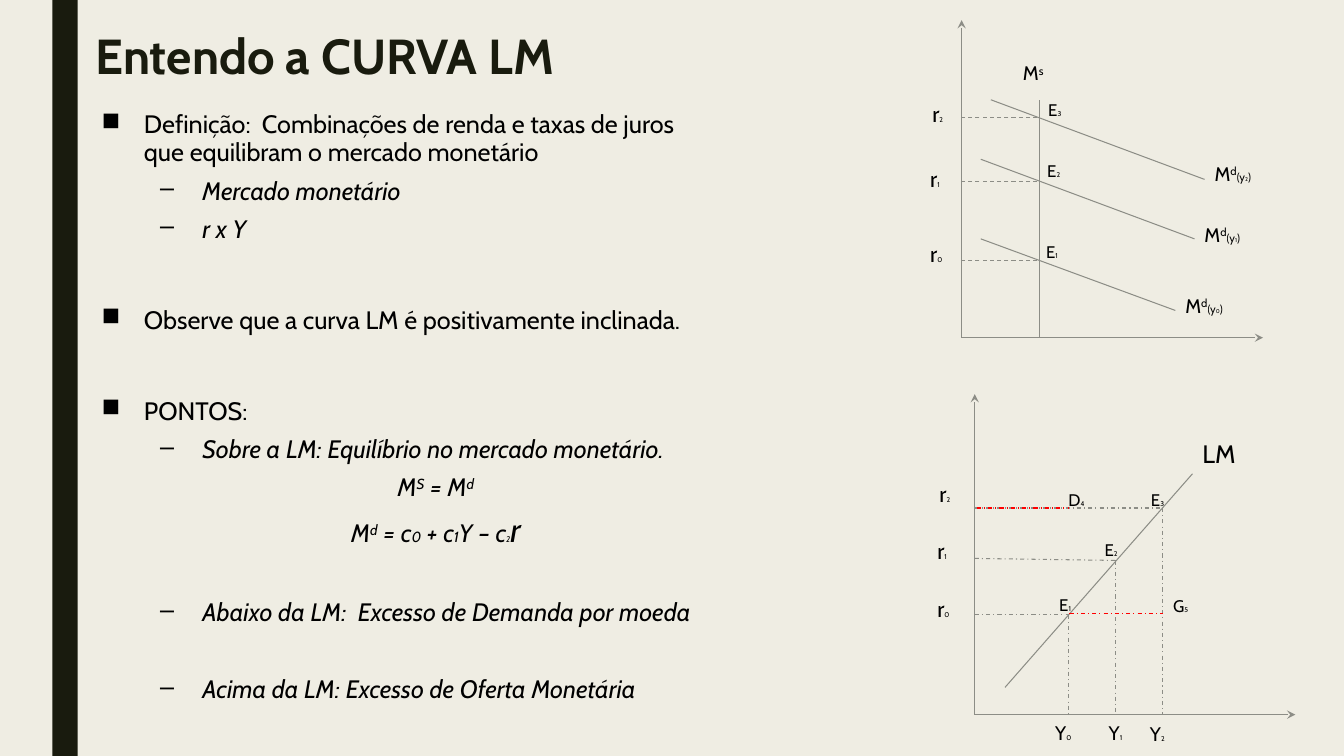
"""Build a slide that explains the LM curve with two linked diagrams."""
from dataclasses import dataclass

from lxml.etree import SubElement
from pptx import Presentation
from pptx.dml.color import RGBColor
from pptx.enum.dml import MSO_LINE_DASH_STYLE as Dash
from pptx.enum.shapes import MSO_CONNECTOR_TYPE as Connector, MSO_SHAPE as Preset
from pptx.enum.text import MSO_AUTO_SIZE as AutoSize, PP_ALIGN as Align
from pptx.oxml.ns import qn
from pptx.util import Inches, Pt

COLUMNS, ROWS = 133.33, 75
CELL = Inches(0.1)
FONT = "Cabin"
CREAM = RGBColor(0xEF, 0xED, 0xE3)
DARK = RGBColor(0x19, 0x1B, 0x0E)
BLACK = RGBColor(0, 0, 0)
GRAY = RGBColor(0x8C, 0x8D, 0x86)
RED = RGBColor(0xFF, 0, 0)


@dataclass
class Level:
    """Paragraph layout of one kind of body text."""
    depth: int
    margin: float
    hanging: float
    bullet: str
    italic: bool
    align: Align


POINT = Level(0, 0.42, 0.42, "■", False, Align.LEFT)
DETAIL = Level(1, 1, 0.42, "–", True, Align.LEFT)
FORMULA = Level(1, 0.58, 0, "", True, Align.CENTER)

BODY = [
    (POINT, 0, [("Definição:  Combinações de renda e taxas de juros "
                 "que equilibram o mercado monetário", 18)]),
    (DETAIL, 7, [("Mercado monetário", 18)]),
    (DETAIL, 7, [("r x Y", 18)]),
    (POINT, 44.7, [("Observe que a curva LM é positivamente inclinada.", 18)]),
    (POINT, 44.7, [("PONTOS:", 18)]),
    (DETAIL, 7, [("Sobre a LM: Equilíbrio no mercado monetário.", 18)]),
    (FORMULA, 7, [("M", 18), ("S", 18, True), (" = M", 18), ("d", 18, True)]),
    (FORMULA, 7, [("M", 18), ("d", 18, True), (" = c", 18), ("0", 10.5), (" + c", 18),
                  ("1", 10.5), ("Y – c", 18), ("2", 6), ("r", 24)]),
    (DETAIL, 34.7, [("Abaixo da LM:  Excesso de Demanda por moeda", 18)]),
    (DETAIL, 34.7, [("Acima da LM: Excesso de Oferta Monetária", 18)]),
]


def cells(*counts):
    """Turn grid counts into slide lengths."""
    return [round(count * CELL) for count in counts]


def add_run(paragraph, text, size, raised=False, color=BLACK):
    """Add one formatted run, raised when it is a superscript."""
    run = paragraph.add_run()
    run.text = text
    run.font.name = FONT
    run.font.size = Pt(size)
    run.font.color.rgb = color
    if raised:
        run._r.get_or_add_rPr().set("baseline", "30000")
    return run


def add_text_frame(shapes, left, top, width, height):
    """Add a wrapping text box and return its text frame."""
    frame = shapes.add_textbox(*cells(left, top, width, height)).text_frame
    frame.word_wrap = True
    return frame


def add_label(shapes, left, top, width, height, *pieces):
    """Add a diagram label made of (text, size, raised) pieces."""
    frame = add_text_frame(shapes, left, top, width, height)
    frame.auto_size = AutoSize.SHAPE_TO_FIT_TEXT
    for piece in pieces:
        add_run(frame.paragraphs[0], *piece)


def add_line(shapes, start, end, color=GRAY, dash=None, arrow=False):
    """Add a thin straight line, optionally dashed or with an arrowhead."""
    line = shapes.add_connector(Connector.STRAIGHT, *cells(*start, *end))
    line.line.color.rgb = color
    line.line.width = Pt(0.75)
    if dash:
        line.line.dash_style = dash
    if arrow:
        SubElement(line.line._get_or_add_ln(), qn("a:tailEnd"), type="stealth")
    SubElement(line._element.spPr, qn("a:effectLst"))


def add_axes(shapes, origin, top, right):
    """Add the two arrows that leave the origin."""
    add_line(shapes, origin, (origin[0], top), arrow=True)
    add_line(shapes, origin, (right, origin[1]), arrow=True)


def set_bullet(paragraph, level):
    """Set the indents and the bullet of a body paragraph."""
    properties = paragraph._p.get_or_add_pPr()
    properties.set("marL", str(Inches(level.margin)))
    properties.set("indent", str(-Inches(level.hanging)))
    if level.bullet:
        color = SubElement(properties, qn("a:buClr"))
        SubElement(color, qn("a:srgbClr"), val=str(BLACK))
        SubElement(properties, qn("a:buChar"), char=level.bullet)
    else:
        SubElement(properties, qn("a:buNone"))


def add_frame(slide):
    """Paint the background, the side bar and the title."""
    slide.background.fill.solid()
    slide.background.fill.fore_color.rgb = CREAM
    bar = slide.shapes.add_shape(Preset.RECTANGLE, *cells(5.2, 0, 2.5, ROWS))
    bar.shadow.inherit = False
    bar.fill.solid()
    bar.fill.fore_color.rgb = DARK
    bar.line.fill.background()
    title = add_text_frame(slide.shapes, 8.5, 2.7, 83.5, 8.2).paragraphs[0]
    title.line_spacing = 0.89
    add_run(title, "Entendo a CURVA LM", 35.1, color=DARK).font.bold = True


def add_body(slide):
    """Add the bulleted explanation."""
    frame = add_text_frame(slide.shapes, 9.1, 10.5, 62.5, 64.8)
    for index, (level, space, pieces) in enumerate(BODY):
        paragraph = frame.add_paragraph() if index else frame.paragraphs[0]
        paragraph.level = level.depth
        paragraph.alignment = level.align
        paragraph.line_spacing = 0.94
        paragraph.space_before = Pt(space)
        set_bullet(paragraph, level)
        for piece in pieces:
            add_run(paragraph, *piece).font.italic = level.italic


def add_money_market(slide):
    """Draw money supply against three money demand lines."""
    shapes = slide.shapes.add_group_shape().shapes
    add_axes(shapes, (95.4, 33.5), 2, 125.3)
    add_line(shapes, (103.1, 33.5), (103.1, 9.9))
    add_label(shapes, 100.5, 5.6, 5.2, 4.2, ("M", 14), ("s", 14, True))
    demands = [
        ((97.3, 23.7), (116.6, 30.8), 25.8, (91.3, 23.3), (102.8, 23.5), 28.7),
        ((97.3, 15.8), (118.5, 23.7), 18, (91.3, 15.9), (102.9, 15.5), 21.6),
        ((98.3, 9.9), (119.5, 17.8), 11.7, (91.5, 9.4), (103, 9.4), 15.6),
    ]
    for index, (start, end, rate, rate_at, point_at, name_top) in enumerate(demands):
        add_line(shapes, start, end)
        add_line(shapes, (102.9, rate), (95.2, rate), dash=Dash.DASH)
        add_label(shapes, *rate_at, 3.9, 4.6, ("r", 16), (str(index), 5))
        add_label(shapes, *point_at, 4.1, 3.8, ("E", 12), (str(index + 1), 5))
        add_label(shapes, end[0], name_top, 7.2, 4.2, ("M", 14), ("d", 14, True),
                  ("(y", 8), (str(index), 4), (")", 8))


def add_lm_curve(slide):
    """Draw the LM curve with its three equilibria and two outside points."""
    shapes = slide.shapes.add_group_shape().shapes
    left, bottom = 96.7, 70.9
    add_axes(shapes, (left, bottom), 39.1, 128.5)
    add_line(shapes, (99.7, 68.2), (118.3, 47))
    add_label(shapes, 118.3, 43, 6.9, 5.1, ("LM", 18))
    equilibria = [
        (106, 61, 61, (92, 58.6), (103.7, 71), (104.1, 58.5)),
        (110.7, 55.4, 55.6, (92, 52.8), (109, 71), (108.6, 53.1)),
        (115.3, 50.4, 50.4, (92.2, 47.1), (113.1, 71.1), (113.2, 48.1)),
    ]
    for index, (income, start, rate, rate_at, income_at, point_at) in enumerate(equilibria):
        add_line(shapes, (left, start), (income, rate), dash=Dash.DASH_DOT)
        add_line(shapes, (income, rate), (income, bottom), dash=Dash.DASH_DOT)
        add_label(shapes, *rate_at, 4.1, 4.7, ("r", 16), (str(index), 5))
        add_label(shapes, *income_at, 4.5, 4.2, ("Y", 14), (str(index), 5))
        add_label(shapes, *point_at, 4.4, 3.8, ("E", 12), (str(index + 1), 5))
    outside = [("G", "5", 106.1, 115.4, 60.9, (115.4, 58.6)),
               ("D", "4", 96.9, 106.1, 50.4, (105, 48.1))]
    for letter, number, start, end, rate, label_at in outside:
        add_line(shapes, (start, rate), (end, rate), RED, Dash.DASH_DOT)
        add_label(shapes, *label_at, 4.6, 3.8, (letter, 12), (number, 5))


def main():
    """Build and save the presentation."""
    presentation = Presentation()
    presentation.slide_width, presentation.slide_height = cells(COLUMNS, ROWS)
    slide = presentation.slides.add_slide(presentation.slide_layouts[6])
    add_frame(slide)
    add_body(slide)
    add_money_market(slide)
    add_lm_curve(slide)
    presentation.save("out.pptx")


if __name__ == "__main__":
    main()
